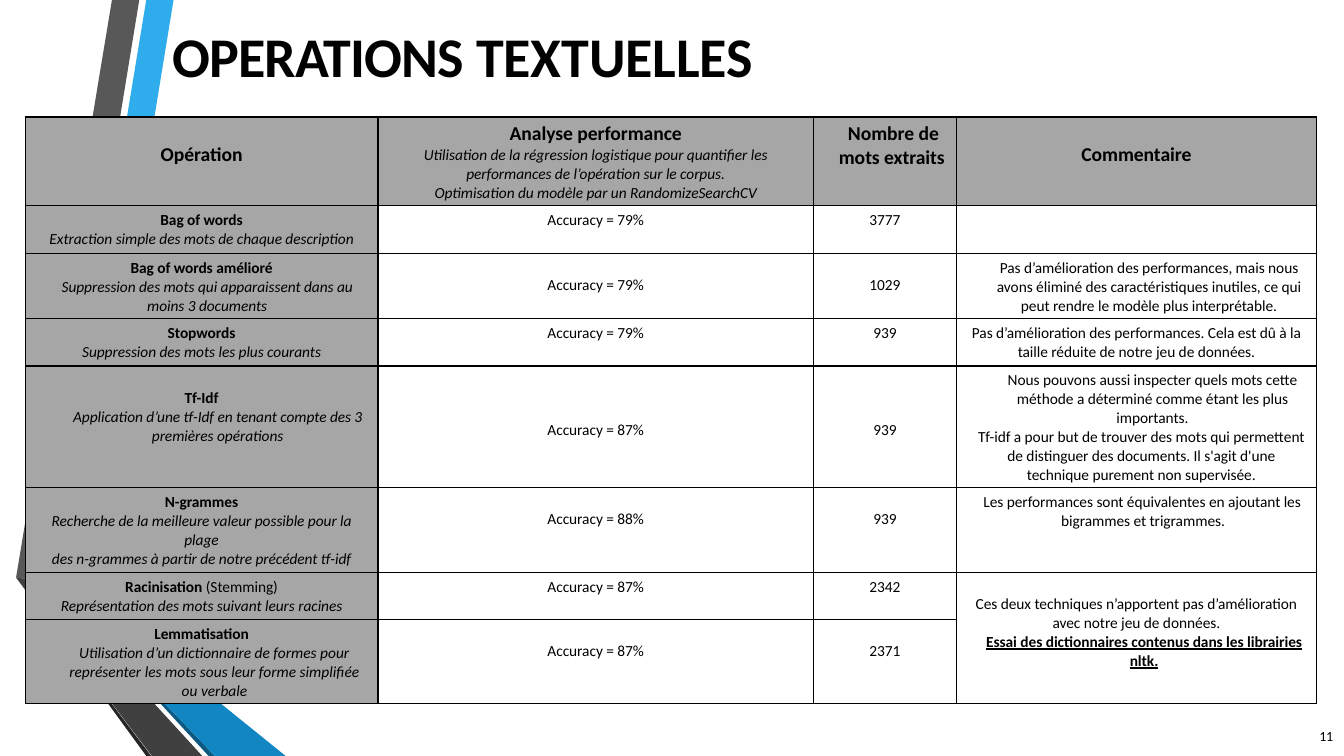
from dataclasses import dataclass

from lxml import etree
from pptx import Presentation
from pptx.dml.color import RGBColor
from pptx.enum.text import MSO_ANCHOR, PP_ALIGN
from pptx.oxml.ns import qn
from pptx.util import Pt

LEFT, CENTER = PP_ALIGN.LEFT, PP_ALIGN.CENTER
TOP = MSO_ANCHOR.TOP
TITLE_ONLY = 5

BLACK = RGBColor(0x00, 0x00, 0x00)
HEADER_GREY = RGBColor(0xA6, 0xA6, 0xA6)
SKY = RGBColor(0x2F, 0xAC, 0xEB)
BLUE = RGBColor(0x12, 0x86, 0xC3)
NAVY = RGBColor(0x0C, 0x5A, 0x82)
GREY = RGBColor(0x58, 0x58, 0x58)
DARK_GREY = RGBColor(0x40, 0x40, 0x40)
NEAR_BLACK = RGBColor(0x25, 0x25, 0x25)
FONT = "Calibri"

# Ribbon facets, back to front
RIBBONS = [
    (SKY, [(124, 0), (104.5, 0), (36, 416), (55.5, 419)]),
    (GREY, [(99.5, 0), (80, 0), (11.5, 412.5), (31.5, 415.5)]),
    (NEAR_BLACK, [(11.5, 412.5), (104.5, 540), (108, 540)]),
    (NAVY, [(36, 417), (149, 540), (153.5, 540)]),
    (BLUE, [(36, 416), (36, 417), (153.5, 540), (204, 540), (55.5, 420)]),
    (DARK_GREY, [(11.5, 412.5), (108.5, 540), (144.5, 540), (34.5, 420), (31.5, 415.5)]),
]

COLUMN_WIDTHS = [252, 311, 102.25, 257]
ROW_HEIGHTS = [63.5, 34, 46.5, 34, 86.5, 60.5, 33.5, 60]


@dataclass
class Line:
    text: str
    bold: bool = False
    italic: bool = False
    underline: bool = False
    size: float = 11
    left: float = 0
    first: float = 0
    align: PP_ALIGN = CENTER
    tracking: int = -5
    plain_tail: str = ""


def heading(text, **options):
    return Line(text, bold=True, **options)


def detail(text, **options):
    return Line(text, italic=True, **options)


# Each cell is (top margin, lines)
HEADER = [
    (18.5, [heading("Opération", size=14)]),
    (3.5, [
        heading("Analyse performance", size=14),
        detail("Utilisation de la régression logistique pour quantifier les"),
        detail("performances de l’opération sur le corpus."),
        detail("Optimisation du modèle par un RandomizeSearchCV"),
    ]),
    (3.5, [heading("Nombre de mots extraits", size=14, left=11, first=6.5, align=LEFT)]),
    (18.5, [heading("Commentaire", size=14)]),
]

# Operation cell, top margin of the figures, accuracy, word count, comment cell
OPERATIONS = [
    ((3.5, [heading("Bag of words"),
            detail("Extraction simple des mots de chaque description")]),
     3.5, "79%", "3777", None),
    ((3.5, [heading("Bag of words amélioré"),
            detail("Suppression des mots qui apparaissent dans au moins 3 documents", left=8)]),
     16, "79%", "1029",
     (3.5, [Line("Pas d’amélioration des performances, mais nous avons éliminé des "
                 "caractéristiques inutiles, ce qui peut rendre le modèle plus "
                 "interprétable.", left=18)])),
    ((3.5, [heading("Stopwords"), detail("Suppression des mots les plus courants")]),
     3.5, "79%", "939",
     (3.5, [Line("Pas d’amélioration des performances. Cela est dû à la"),
            Line("taille réduite de notre jeu de données.")])),
    ((16, [heading("Tf-Idf"),
           detail("Application d’une tf-Idf en tenant compte des 3 premières opérations",
                  left=23)]),
     39, "87%", "939",
     (3.5, [Line("Nous pouvons aussi inspecter quels mots cette méthode a déterminé "
                 "comme étant les plus importants.", left=23),
            Line("Tf-idf a pour but de trouver des mots qui permettent de distinguer "
                 "des documents. Il s'agit d'une technique purement non supervisée.",
                 left=7)])),
    ((3.5, [heading("N-grammes"),
            detail("Recherche de la meilleure valeur possible pour la plage"),
            detail("des n-grammes à partir de notre précédent tf-idf")]),
     16, "88%", "939",
     (3.5, [Line("Les performances sont équivalentes en ajoutant les bigrammes et "
                 "trigrammes.", left=67.5, first=-55.5, align=LEFT)])),
    ((3.5, [heading("Racinisation ", plain_tail="(Stemming)"),
            detail("Représentation des mots suivant leurs racines")]),
     3.5, "87%", "2342",
     (16, [Line("Ces deux techniques n’apportent pas d’amélioration"),
           Line("avec notre jeu de données."),
           heading("Essai des dictionnaires contenus dans les librairies nltk.",
                   underline=True, left=11)])),
    ((3.5, [heading("Lemmatisation"),
            detail("Utilisation d’un dictionnaire de formes pour représenter les mots "
                   "sous leur forme simplifiée ou verbale", left=18.5, tracking=0)]),
     16, "87%", "2371", None),
]


def set_font(font, size, bold=False):
    font.name, font.size, font.bold = FONT, Pt(size), bold
    font.color.rgb = BLACK


def write_line(paragraph, line):
    paragraph.alignment = line.align
    properties = paragraph._p.get_or_add_pPr()
    properties.set("marL", str(Pt(line.left)))
    properties.set("indent", str(Pt(line.first)))
    set_font(paragraph.font, line.size, line.bold)
    paragraph.font.italic = line.italic
    paragraph.font.underline = line.underline
    properties.get_or_add_defRPr().set("spc", str(line.tracking))
    paragraph.add_run().text = line.text
    if line.plain_tail:
        tail = paragraph.add_run()
        tail.text = line.plain_tail
        tail.font.bold = False


def write_cell(cell, content):
    top, lines = content
    cell.margin_top, cell.margin_bottom = Pt(top), Pt(2)
    for index, line in enumerate(lines):
        frame = cell.text_frame
        write_line(frame.add_paragraph() if index else frame.paragraphs[0], line)


def frame_cell(cell, shaded):
    if shaded:
        cell.fill.solid()
        cell.fill.fore_color.rgb = HEADER_GREY
    else:
        cell.fill.background()
    properties = cell._tc.get_or_add_tcPr()
    for index, side in enumerate(("lnL", "lnR", "lnT", "lnB")):
        border = etree.Element(qn("a:" + side), w=str(Pt(0.96)))
        fill = etree.SubElement(border, qn("a:solidFill"))
        etree.SubElement(fill, qn("a:srgbClr"), val=str(BLACK))
        properties.insert(index, border)


def add_ribbons(slide):
    for color, corners in RIBBONS:
        points = [(Pt(x), Pt(y)) for x, y in corners]
        builder = slide.shapes.build_freeform(*points[0])
        builder.add_line_segments(points[1:], close=True)
        ribbon = builder.convert_to_shape()
        ribbon.shadow.inherit = False
        ribbon.fill.solid()
        ribbon.fill.fore_color.rgb = color
        ribbon.line.fill.background()


def clear_margins(frame):
    frame.margin_left = frame.margin_right = frame.margin_bottom = 0
    frame.margin_top = Pt(1)
    frame.vertical_anchor = TOP


def add_title(slide, left, top, width, height):
    title = slide.shapes.title
    title.left, title.top, title.width, title.height = map(Pt, (left, top, width, height))
    clear_margins(title.text_frame)
    paragraph = title.text_frame.paragraphs[0]
    paragraph.alignment = LEFT
    paragraph.line_spacing = 1.0
    set_font(paragraph.font, 40, bold=True)
    for text, tracking in (("OPERATIONS ", -60), ("TEXTUELLES", -10)):
        word = paragraph.add_run()
        word.text = text
        word._r.get_or_add_rPr().set("spc", str(tracking))


def add_operations_table(slide, left, top):
    width, height = sum(COLUMN_WIDTHS), sum(ROW_HEIGHTS)
    table = slide.shapes.add_table(len(ROW_HEIGHTS), len(COLUMN_WIDTHS),
                                   Pt(left), Pt(top), Pt(width), Pt(height)).table
    table.first_row = table.horz_banding = False
    for column, column_width in zip(table.columns, COLUMN_WIDTHS):
        column.width = Pt(column_width)
    for row, row_height in zip(table.rows, ROW_HEIGHTS):
        row.height = Pt(row_height)

    rows = [HEADER] + [
        [operation, (margin, [Line("Accuracy = " + accuracy)]), (margin, [Line(count)]), comment]
        for operation, margin, accuracy, count, comment in OPERATIONS]
    for r, contents in enumerate(rows):
        for c, content in enumerate(contents):
            cell = table.cell(r, c)
            frame_cell(cell, shaded=r == 0 or c == 0)
            if content:
                write_cell(cell, content)
    # The last two operations share one comment
    table.cell(6, 3).merge(table.cell(7, 3))


def add_page_number(slide, left, top, width, height):
    frame = slide.shapes.add_textbox(Pt(left), Pt(top), Pt(width), Pt(height)).text_frame
    clear_margins(frame)
    write_line(frame.paragraphs[0], Line("11", size=10, align=LEFT, tracking=-30))


def main():
    deck = Presentation()
    deck.slide_width, deck.slide_height = Pt(960), Pt(540)
    slide = deck.slides.add_slide(deck.slide_layouts[TITLE_ONLY])
    add_ribbons(slide)
    add_title(slide, 123, 14.5, 752.5, 90.5)
    add_operations_table(slide, 18, 83.5)
    add_page_number(slide, 942.5, 518.5, 11.5, 13)
    deck.save("out.pptx")


if __name__ == "__main__":
    main()
